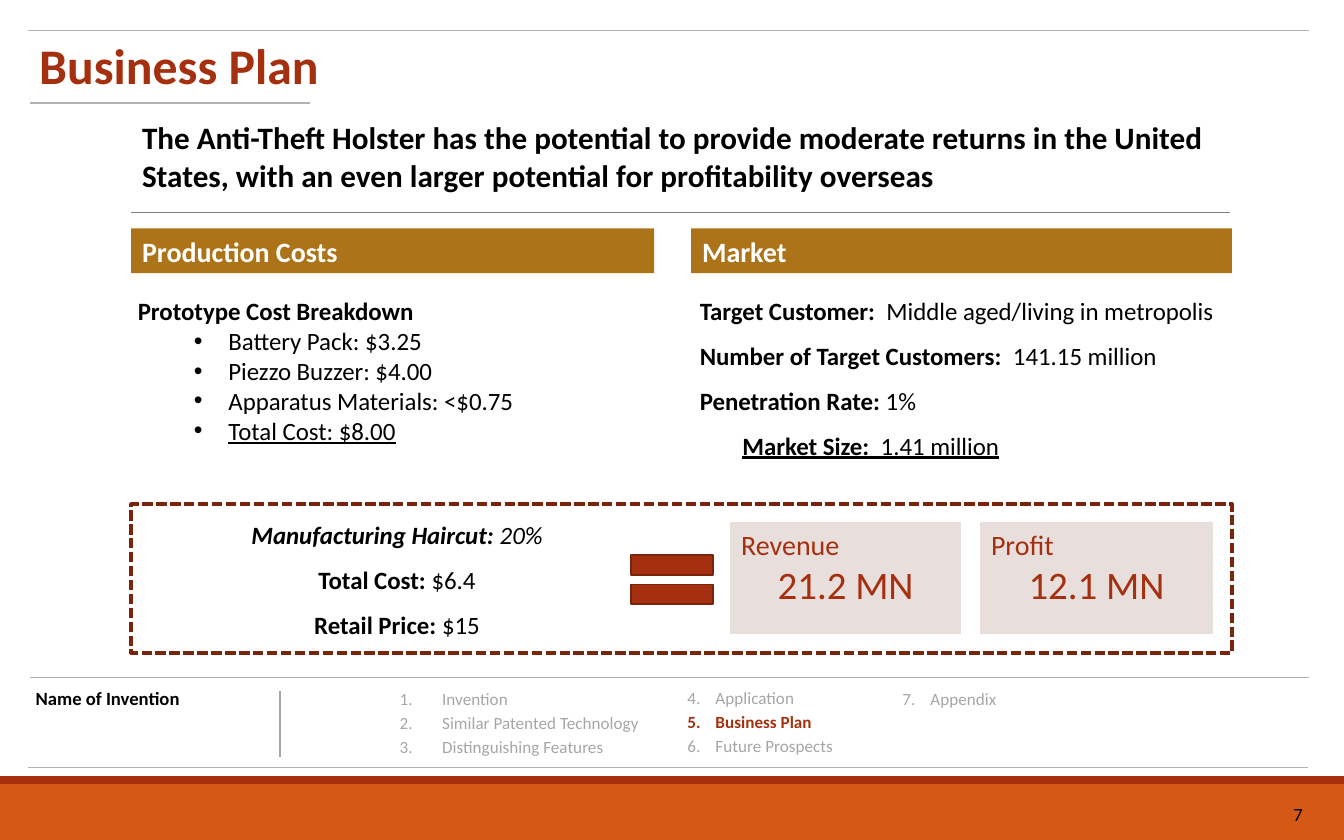
import pptx
import pptx.util
import pptx.dml.color
import pptx.enum.dml
import pptx.enum.shapes
import pptx.enum.text
import pptx.oxml.ns
import lxml.etree

Inches = pptx.util.Inches
Pt = pptx.util.Pt
Shape = pptx.enum.shapes.MSO_SHAPE
Align = pptx.enum.text.PP_ALIGN
Anchor = pptx.enum.text.MSO_ANCHOR

FONT = "Calibri"
BLACK, WHITE = "000000", "FFFFFF"
RUST, DARK_RUST, ORANGE = "A5300F", "7A240B", "D55816"
GOLD, BLUSH = "AD7318", "E8DEDB"
RULE_GRAY, TEXT_GRAY = "B2B2B2", "A6A6A6"


def color(value):
    return pptx.dml.color.RGBColor.from_string(value)


def add_xml(parent, tag, **attributes):
    return lxml.etree.SubElement(parent, pptx.oxml.ns.qn(tag), attributes)


class SlideBuilder:
    """Holds the font and the current slide."""

    def __init__(self, slide, font):
        self.slide = slide
        self.font = font

    def line(self, x1, y1, x2, y2, line_color=RULE_GRAY, width=0.75):
        connector = self.slide.shapes.add_connector(
            pptx.enum.shapes.MSO_CONNECTOR.STRAIGHT,
            Inches(x1), Inches(y1), Inches(x2), Inches(y2))
        connector.line.color.rgb = color(line_color)
        connector.line.width = Pt(width)
        add_xml(connector._element.spPr, "a:effectLst")

    def shape(self, box, fill=None, outline=None, width=1.0, dash=None,
              kind=Shape.RECTANGLE, anchor=Anchor.TOP):
        shape = self.slide.shapes.add_shape(kind, *map(Inches, box))
        shape.shadow.inherit = False
        if fill:
            shape.fill.solid()
            shape.fill.fore_color.rgb = color(fill)
        else:
            shape.fill.background()
        if outline:
            shape.line.color.rgb = color(outline)
            shape.line.width = Pt(width)
            shape.line.dash_style = dash
        else:
            shape.line.fill.background()
        shape.text_frame.vertical_anchor = anchor
        return shape.text_frame

    def text_box(self, box):
        frame = self.slide.shapes.add_textbox(*map(Inches, box)).text_frame
        frame.word_wrap = True
        return frame

    def placeholder(self, index, box, wrap=True):
        shape = self.slide.placeholders[index]
        shape.left, shape.top, shape.width, shape.height = map(Inches, box)
        frame = shape.text_frame
        frame.auto_size = pptx.enum.text.MSO_AUTO_SIZE.NONE
        frame.vertical_anchor = Anchor.TOP
        frame.word_wrap = wrap
        return frame

    def paragraph(self, frame, runs, size, text_color=BLACK, align=Align.LEFT,
                  left=0, indent=0, bullet=None, start=None,
                  spacing=1.0, before=0):
        """Add runs given as (text, style); style holds any of b, i and u."""
        paragraph = frame.paragraphs[0]
        if paragraph.runs:
            paragraph = frame.add_paragraph()
            paragraph.space_before = Pt(before)
        else:
            paragraph.space_before = Pt(0)
        paragraph.alignment = align
        paragraph.line_spacing = spacing
        properties = paragraph._p.get_or_add_pPr()
        properties.set("marL", str(Inches(left)))
        properties.set("indent", str(Inches(indent)))
        if bullet:
            add_xml(properties, "a:buFont", typeface="Arial")
            add_xml(properties, "a:buChar", char=bullet)
        elif start:
            add_xml(properties, "a:buFont", typeface="+mj-lt")
            add_xml(properties, "a:buAutoNum", type="arabicPeriod",
                    startAt=str(start))
        else:
            add_xml(properties, "a:buNone")
        for text, style in runs:
            run = paragraph.add_run()
            run.text = text
            run.font.name = self.font
            run.font.size = Pt(size)
            run.font.color.rgb = color(text_color)
            run.font.bold = "b" in style
            run.font.italic = "i" in style
            run.font.underline = "u" in style


def add_frame(builder):
    # Footer bands, page number and rules
    builder.shape((0, 7, 12, 0.5), ORANGE)
    builder.shape((0, 6.93, 12, 0.07), RUST)
    number = builder.text_box((11.33, 7.12, 0.52, 0.3))
    builder.paragraph(number, [("7", "")], 12, align=Align.CENTER)
    builder.line(1.17, 1.9, 10.98, 1.9, "808080", 0.5)
    builder.line(0.25, 0.27, 11.69, 0.27)
    builder.line(0.27, 0.92, 2.77, 0.92)
    builder.line(0.27, 6.05, 11.69, 6.05)
    builder.line(0.25, 6.85, 11.68, 6.85)
    builder.line(2.5, 6.17, 2.5, 6.76, TEXT_GRAY, 1)


def add_navigation(builder):
    # Section list, with the current section highlighted
    name = builder.text_box((0.22, 6.08, 1.95, 0.82))
    builder.paragraph(name, [("Name of Invention", "b")], 12)
    columns = [
        ((3.47, 6.1, 2.53, 0.82), 0.38, 1,
         ["Invention", "Similar Patented Technology",
          "Distinguishing Features"]),
        ((6.04, 6.09, 3.04, 0.82), 0.25, 4,
         ["Application", "Business Plan", "Future Prospects"]),
        ((7.96, 6.1, 3.04, 0.82), 0.25, 7, ["Appendix"]),
    ]
    for box, hang, start, sections in columns:
        frame = builder.text_box(box)
        for section in sections:
            current = section == "Business Plan"
            builder.paragraph(
                frame, [(section, "b" if current else "")], 11,
                RUST if current else TEXT_GRAY,
                left=hang, indent=-hang, start=start, before=2.2)


def add_columns(builder):
    # Column headings
    for heading, left, width in [("Production Costs", 1.17, 4.67),
                                 ("Market", 6.17, 4.83)]:
        frame = builder.shape((left, 2.04, width, 0.4), GOLD,
                              anchor=Anchor.MIDDLE)
        builder.paragraph(frame, [(heading, "b")], 18, WHITE)

    # Prototype costs
    costs = builder.placeholder(1, (1.13, 2.46, 4.83, 1.72))
    builder.paragraph(costs, [("Prototype Cost Breakdown", "b")], 16,
                      spacing=1.5)
    for item, style in [("Battery Pack: $3.25", ""),
                        ("Piezzo Buzzer: $4.00", ""),
                        ("Apparatus Materials: <$0.75", ""),
                        ("Total Cost: $8.00", "u")]:
        builder.paragraph(costs, [(item, style)], 16, left=0.81,
                          indent=-0.31, bullet="•")

    # Market facts
    market = builder.text_box((6.15, 2.46, 4.83, 1.72))
    for label, value, underline, indent in [
            ("Target Customer:  ", "Middle aged/living in metropolis", "", 0),
            ("Number of Target Customers:  ", "141.15 million", "", 0),
            ("Penetration Rate: ", "1%", "", 0),
            ("Market Size:  ", "1.41 million", "u", 0.38)]:
        builder.paragraph(
            market, [(label, "b" + underline), (value, underline)], 16,
            indent=indent, spacing=1.5)


def add_result(builder):
    # Assumptions inside the dashed outline
    builder.shape((1.17, 4.5, 9.83, 1.33), outline=DARK_RUST, width=2.25,
                  dash=pptx.enum.dml.MSO_LINE.SQUARE_DOT)
    assumptions = builder.text_box((1.13, 4.46, 4.83, 1.33))
    for label, value, italic in [("Manufacturing Haircut: ", "20%", "i"),
                                 ("Total Cost: ", "$6.4", ""),
                                 ("Retail Price: ", "$15", "")]:
        builder.paragraph(
            assumptions, [(label, "b" + italic), (value, italic)], 16,
            align=Align.CENTER, spacing=1.5)

    # Equals sign and resulting figures
    builder.shape((5.5, 4.8, 1, 0.75), RUST, DARK_RUST, 1.25,
                  kind=Shape.MATH_EQUAL)
    for label, value, left, width in [("Revenue", "21.2 MN", 6.52, 2.06),
                                      ("Profit", "12.1 MN", 8.75, 2.08)]:
        frame = builder.shape((left, 4.66, width, 1), BLUSH)
        builder.paragraph(frame, [(label, "")], 18, RUST)
        builder.paragraph(frame, [(value, "")], 25, RUST, Align.CENTER)


def main():
    presentation = pptx.Presentation()
    presentation.slide_width = Inches(12)
    presentation.slide_height = Inches(7.5)
    slide = presentation.slides.add_slide(presentation.slide_layouts[1])
    builder = SlideBuilder(slide, FONT)

    add_frame(builder)

    # Title and key message
    title = builder.placeholder(0, (0.25, 0.26, 2.72, 0.64), wrap=False)
    builder.paragraph(title, [("Business Plan", "b")], 32, RUST)
    message = builder.text_box((1.17, 1.01, 9.83, 0.77))
    builder.paragraph(message, [(
        "The Anti-Theft Holster has the potential to provide moderate "
        "returns in the United States, with an even larger potential for "
        "profitability overseas", "b")], 20)

    add_columns(builder)
    add_result(builder)
    add_navigation(builder)
    presentation.save("out.pptx")


if __name__ == "__main__":
    main()
